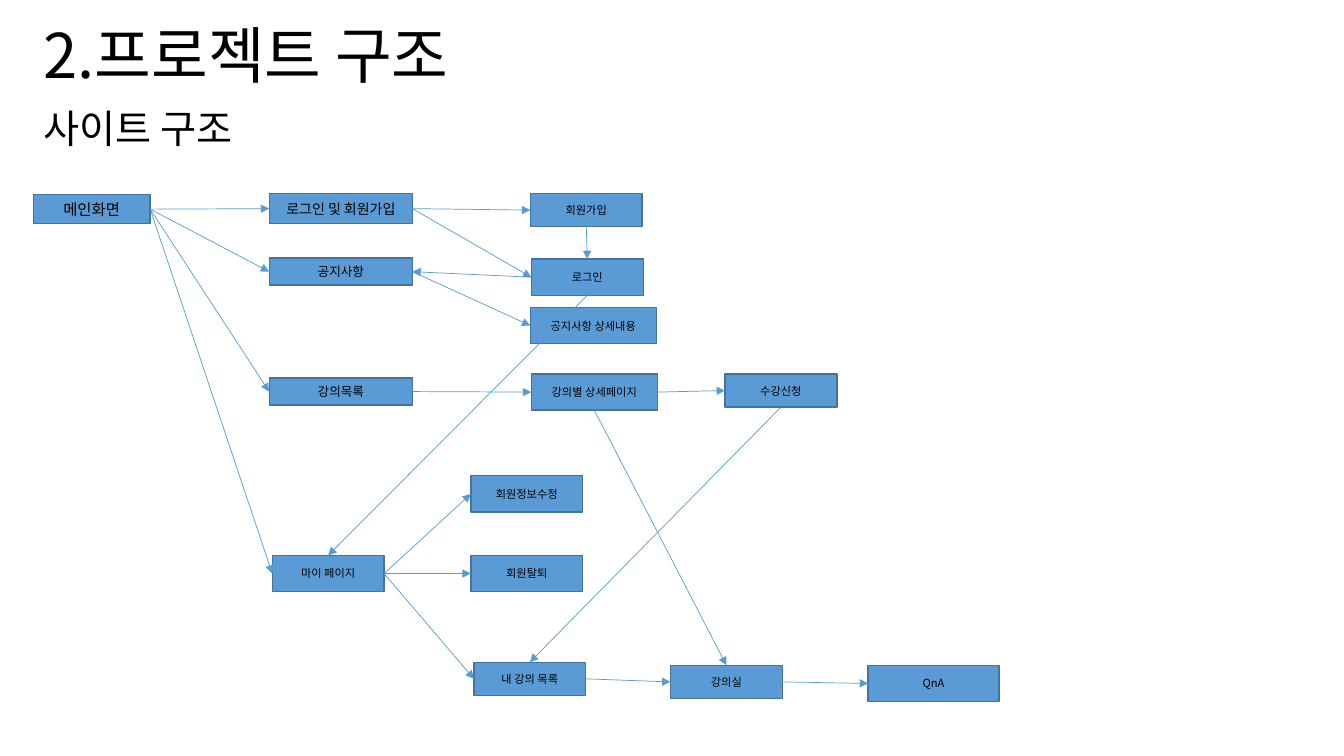
import dataclasses

import lxml.etree
import pptx
import pptx.dml.color
import pptx.enum.shapes
import pptx.enum.text
import pptx.oxml.ns
import pptx.util

Inches = pptx.util.Inches
Pt = pptx.util.Pt
qn = pptx.oxml.ns.qn

FONT = "Noto Sans CJK KR"
COLORS = {"text": "000000", "box": "5B9BD5", "border": "43739E", "arrow": "5B9BD5"}
TOP, LEFT, BOTTOM, RIGHT = range(4)


@dataclasses.dataclass(frozen=True)
class Page:
    name: str
    left: float
    top: float
    width: float = 1.11
    height: float = 0.36
    size: int = 8


@dataclasses.dataclass(frozen=True)
class Link:
    source: str
    target: str
    start: int = RIGHT
    end: int = LEFT


PAGES = [
    Page("메인화면", 0.33, 1.93, 1.16, 0.29, 11),
    # Main menu
    Page("강의목록", 2.67, 3.75, 1.42, 0.27, 9),
    Page("공지사항", 2.67, 2.56, 1.42, 0.27, 9),
    Page("로그인 및 회원가입", 2.67, 1.92, 1.42, 0.3, 10),
    Page("마이 페이지", 2.7, 5.51),
    # Pages below the menu
    Page("로그인", 5.27, 2.57),
    Page("회원가입", 5.26, 1.92, height=0.33),
    Page("강의별 상세페이지", 5.27, 3.71, 1.25),
    Page("공지사항 상세내용", 5.26, 3.05, 1.25),
    Page("수강신청", 7.19, 3.71, height=0.33),
    Page("회원정보수정", 4.67, 4.72),
    Page("회원탈퇴", 4.67, 5.51),
    Page("내 강의 목록", 4.7, 6.57, height=0.33),
    Page("강의실", 6.65, 6.6, height=0.33),
    Page("QnA", 8.61, 6.6, 1.3),
]

LINKS = [
    Link("메인화면", "로그인 및 회원가입"),
    Link("메인화면", "공지사항"),
    Link("메인화면", "강의목록"),
    Link("메인화면", "마이 페이지"),
    Link("로그인 및 회원가입", "회원가입"),
    Link("회원가입", "로그인", BOTTOM, TOP),
    Link("로그인 및 회원가입", "로그인"),
    Link("로그인", "공지사항", LEFT, RIGHT),
    Link("공지사항", "공지사항 상세내용"),
    Link("강의목록", "강의별 상세페이지"),
    Link("로그인", "마이 페이지", BOTTOM, TOP),
    Link("마이 페이지", "회원정보수정"),
    Link("마이 페이지", "회원탈퇴"),
    Link("마이 페이지", "내 강의 목록"),
    Link("강의별 상세페이지", "수강신청"),
    Link("수강신청", "내 강의 목록", BOTTOM, TOP),
    Link("내 강의 목록", "강의실"),
    Link("강의실", "QnA"),
    Link("강의별 상세페이지", "강의실", BOTTOM, TOP),
]


def rgb(name: str) -> pptx.dml.color.RGBColor:
    return pptx.dml.color.RGBColor.from_string(COLORS[name])


def set_text(sp, text: str, size: int, align) -> None:
    """Write one formatted paragraph, with the font set for Korean too."""
    tf = sp.text_frame
    tf.text = text
    p = tf.paragraphs[0]
    p.alignment = align
    for r in p.runs:
        r.font.size = Pt(size)
        r.font.name = FONT
        r.font.color.rgb = rgb("text")
        lxml.etree.SubElement(r.font._element, qn("a:ea"), typeface=FONT)


def set_heading(sp, text: str, size: int, box: tuple, anchor) -> None:
    sp.left, sp.top, sp.width, sp.height = (Inches(v) for v in box)
    set_text(sp, text, size, pptx.enum.text.PP_ALIGN.LEFT)
    tf = sp.text_frame
    tf.auto_size = pptx.enum.text.MSO_AUTO_SIZE.NONE
    tf.vertical_anchor = anchor
    tf.paragraphs[0].line_spacing = 0.9


def add_page(slide, page: Page):
    sp = slide.shapes.add_shape(
        pptx.enum.shapes.MSO_SHAPE.RECTANGLE, Inches(page.left), Inches(page.top),
        Inches(page.width), Inches(page.height))
    sp.shadow.inherit = False
    sp.fill.solid()
    sp.fill.fore_color.rgb = rgb("box")
    sp.line.color.rgb = rgb("border")
    sp.line.width = Pt(1)
    sp.text_frame.vertical_anchor = pptx.enum.text.MSO_ANCHOR.MIDDLE
    set_text(sp, page.name, page.size, pptx.enum.text.PP_ALIGN.CENTER)
    return sp


def add_link(slide, link: Link, boxes: dict) -> None:
    line = slide.shapes.add_connector(
        pptx.enum.shapes.MSO_CONNECTOR.STRAIGHT, 0, 0, 0, 0)
    line.begin_connect(boxes[link.source], link.start)
    line.end_connect(boxes[link.target], link.end)
    line.line.color.rgb = rgb("arrow")
    line.line.width = Pt(0.5)
    sp_pr = line._element.spPr
    lxml.etree.SubElement(sp_pr.find(qn("a:ln")), qn("a:tailEnd"), type="triangle")
    lxml.etree.SubElement(sp_pr, qn("a:effectLst"))


def main() -> None:
    prs = pptx.Presentation()
    prs.slide_width, prs.slide_height = Inches(13.33), Inches(7.5)
    slide = prs.slides.add_slide(prs.slide_layouts[1])

    # Title and subtitle
    set_heading(slide.shapes.title, "2.프로젝트 구조", 44, (0.33, 0.1, 11.5, 0.97),
                pptx.enum.text.MSO_ANCHOR.MIDDLE)
    body = slide.placeholders[1]
    set_heading(body, "사이트 구조", 28, (0.33, 1.04, 2.92, 0.6),
                pptx.enum.text.MSO_ANCHOR.TOP)
    p = body.text_frame.paragraphs[0]
    p.space_before = Pt(10)
    p_pr = p._p.get_or_add_pPr()
    p_pr.set("marL", "0")
    p_pr.set("indent", "0")
    lxml.etree.SubElement(p_pr, qn("a:buNone"))

    # Site map
    boxes = {page.name: add_page(slide, page) for page in PAGES}
    for link in LINKS:
        add_link(slide, link, boxes)

    prs.save("out.pptx")


if __name__ == "__main__":
    main()
